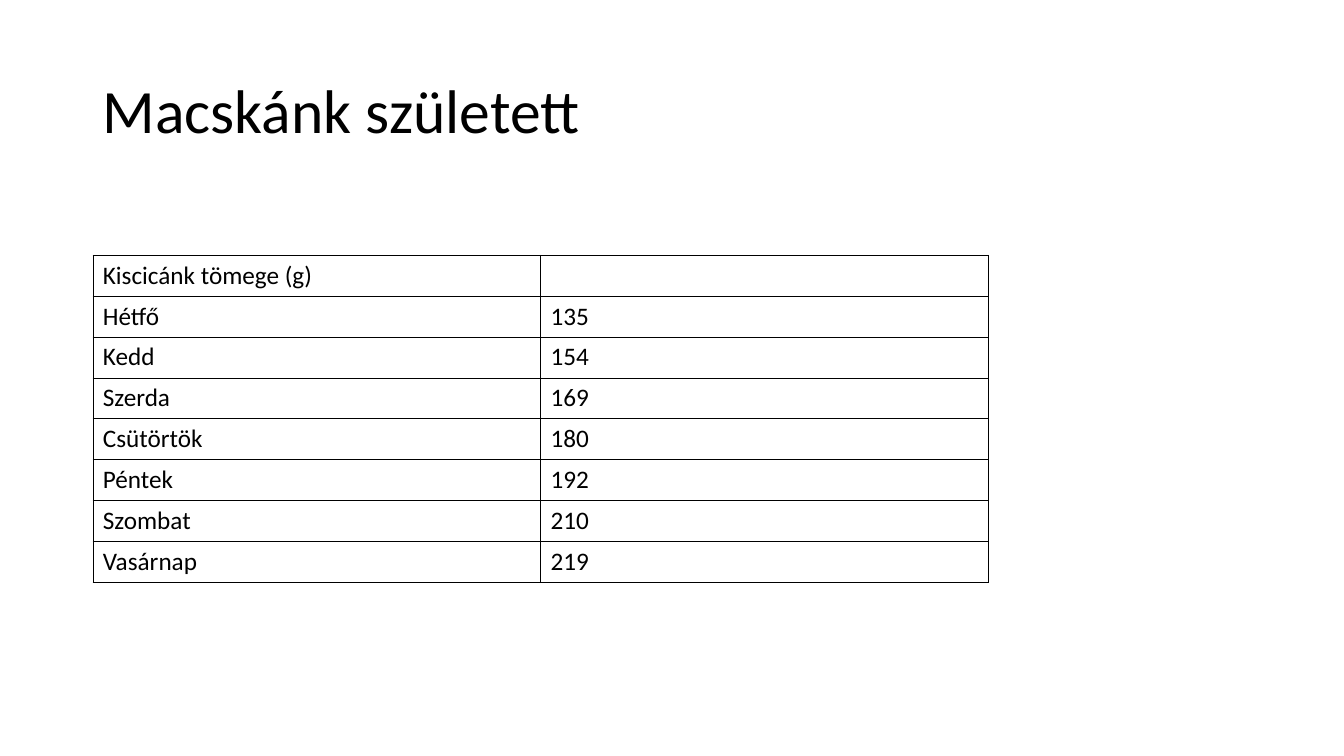
import lxml.etree
import pptx
import pptx.dml.color
import pptx.enum.text
import pptx.oxml.ns
import pptx.util
from dataclasses import dataclass

Cm = pptx.util.Cm


@dataclass(frozen=True)
class Theme:
    font: str = "Calibri"
    ink: str = "000000"
    title_size: int = 44
    cell_size: int = 18
    border_width: float = 0.45


theme = Theme()


def style_text(paragraph, size):
    paragraph.font.name = theme.font
    paragraph.font.size = pptx.util.Pt(size)
    paragraph.font.color.rgb = pptx.dml.color.RGBColor.from_string(theme.ink)


def add_borders(cell):
    qn = pptx.oxml.ns.qn
    properties = cell._tc.get_or_add_tcPr()
    for side in ("a:lnL", "a:lnR", "a:lnT", "a:lnB"):
        border = lxml.etree.SubElement(
            properties, qn(side), w=str(pptx.util.Pt(theme.border_width)))
        ink = lxml.etree.SubElement(border, qn("a:solidFill"))
        lxml.etree.SubElement(ink, qn("a:srgbClr"), val=theme.ink)


# Slide
deck = pptx.Presentation()
deck.slide_width, deck.slide_height = Cm(33.88), Cm(19.05)
slide = deck.slides.add_slide(deck.slide_layouts[6])

# Title
title = slide.shapes.add_textbox(Cm(2.34), Cm(1.02), Cm(29.21), Cm(3.68)).text_frame
title.word_wrap = True
title.vertical_anchor = pptx.enum.text.MSO_ANCHOR.MIDDLE
title.text = "Macskánk született"
title.paragraphs[0].line_spacing = 0.9
style_text(title.paragraphs[0], theme.title_size)

# Kitten's weight by day
weights = [
    ("Kiscicánk tömege (g)", ""),
    ("Hétfő", "135"),
    ("Kedd", "154"),
    ("Szerda", "169"),
    ("Csütörtök", "180"),
    ("Péntek", "192"),
    ("Szombat", "210"),
    ("Vasárnap", "219"),
]
weight_table = slide.shapes.add_table(
    len(weights), 2, Cm(2.34), Cm(6.43), Cm(22.58), Cm(8.24)).table
weight_table.first_row = False
weight_table.horz_banding = False

for row, entry in enumerate(weights):
    for column, text in enumerate(entry):
        cell = weight_table.cell(row, column)
        cell.text = text
        style_text(cell.text_frame.paragraphs[0], theme.cell_size)
        add_borders(cell)
        cell.fill.background()

deck.save("out.pptx")
